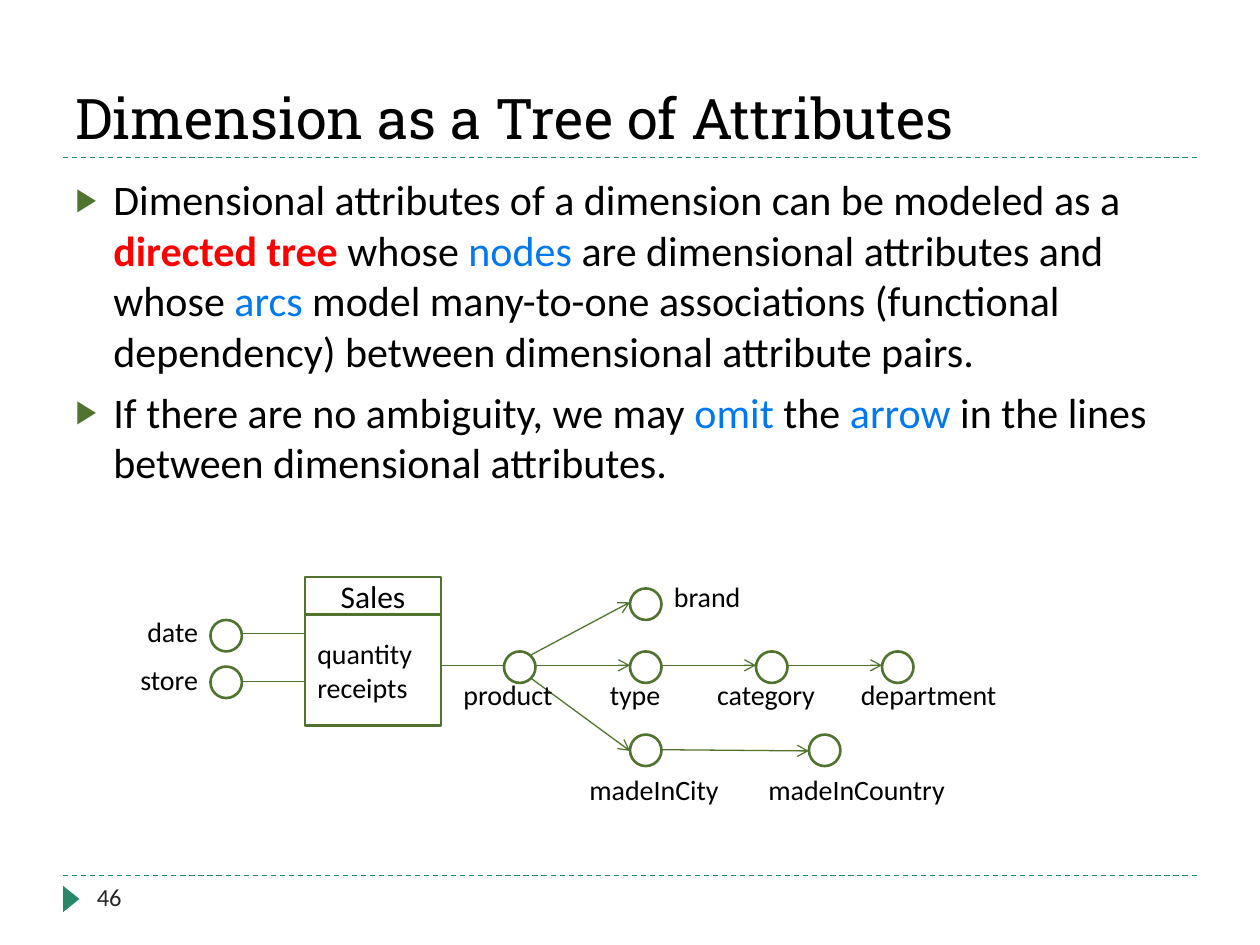
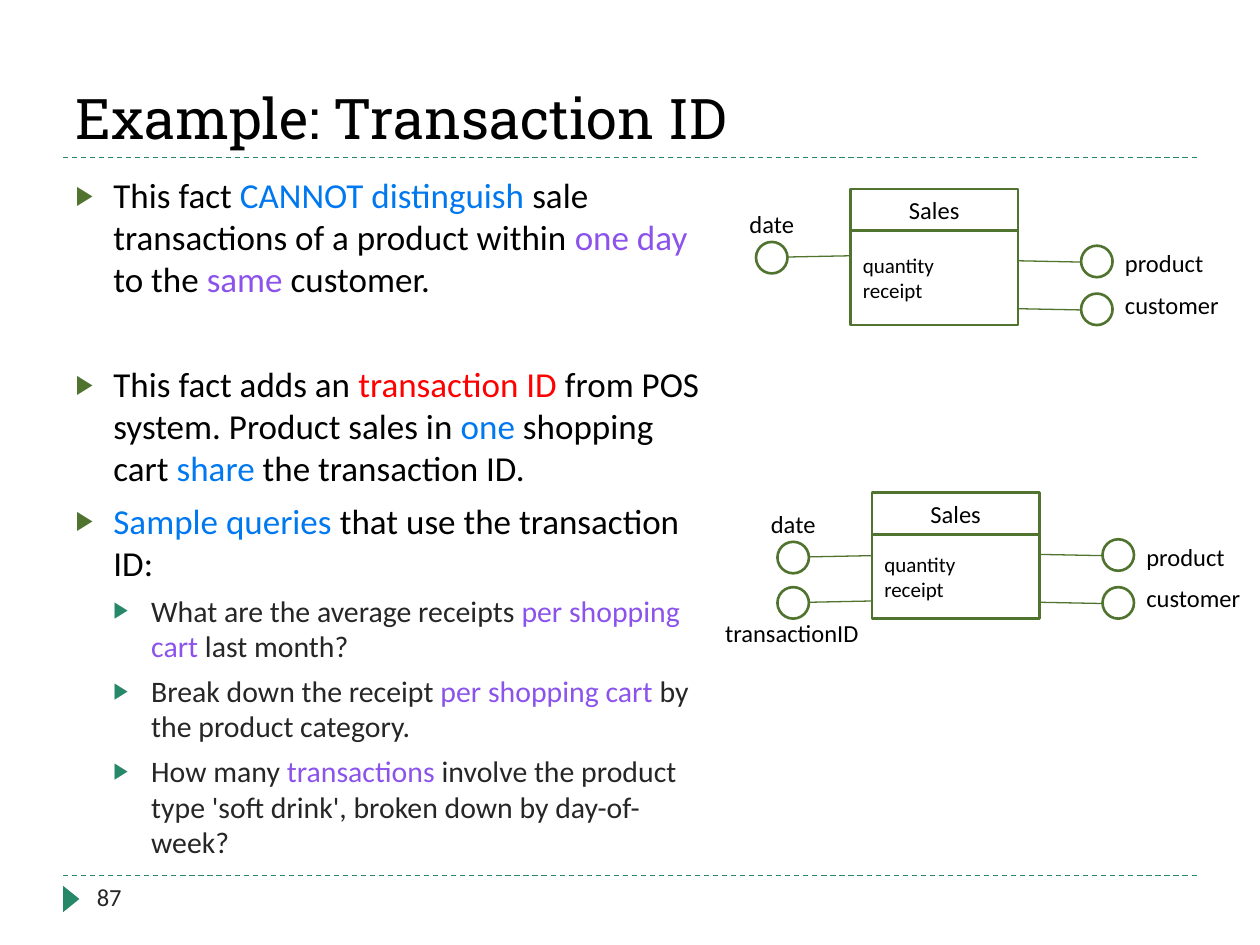
from dataclasses import dataclass
from typing import Any

from lxml import etree
from pptx import Presentation
from pptx.dml.color import RGBColor
from pptx.enum.dml import MSO_LINE
from pptx.enum.shapes import MSO_CONNECTOR, MSO_SHAPE
from pptx.enum.text import MSO_ANCHOR, MSO_AUTO_SIZE, PP_ALIGN
from pptx.oxml.ns import qn
from pptx.util import Inches, Pt

LEFT, MID, RIGHT = PP_ALIGN.LEFT, PP_ALIGN.CENTER, PP_ALIGN.RIGHT
BASE, CORE = MSO_ANCHOR.BOTTOM, MSO_ANCHOR.MIDDLE
FIXED = MSO_AUTO_SIZE.NONE
DASH = MSO_LINE.DASH
LINE = MSO_CONNECTOR.STRAIGHT
OVAL, RECT, WEDGE = MSO_SHAPE.OVAL, MSO_SHAPE.RECTANGLE, MSO_SHAPE.ISOSCELES_TRIANGLE

BLACK = RGBColor(0x00, 0x00, 0x00)
WHITE = RGBColor(0xFF, 0xFF, 0xFF)
GRAY = RGBColor(0x26, 0x26, 0x26)
GREEN = RGBColor(0x50, 0x74, 0x2F)
TEAL = RGBColor(0x26, 0x88, 0x68)
RED = RGBColor(0xFF, 0x00, 0x00)
BLUE = RGBColor(0x00, 0x78, 0xF0)
VIOLET = RGBColor(0x8B, 0x53, 0xEB)

SANS, SLAB = "Calibri", "Roboto Slab"
DOT = 0.25


@dataclass(frozen=True)
class Run:
    """A piece of text; without a colour it takes that of its level."""

    text: str
    color: RGBColor | None = None
    bold: bool = False


@dataclass(frozen=True)
class Item:
    """A bulleted paragraph."""

    runs: tuple[Run, ...]
    size: int
    level: int = 0
    gap: int = 6


@dataclass(frozen=True)
class Label:
    """A caption in the diagram."""

    text: str
    x: float
    y: float
    width: float
    align: Any = LEFT


@dataclass(frozen=True)
class Arc:
    """A line between two points."""

    x: float
    y: float
    end_x: float
    end_y: float
    arrow: bool = False


@dataclass(frozen=True)
class Fact:
    """A fact box with a heading and its measures."""

    x: float
    y: float
    width: float
    head: float
    tall: float
    words: tuple[str, ...]
    big: int
    small: int


@dataclass(frozen=True)
class Mart:
    """A small sales diagram, placed by its box and its rows of dots."""

    x: float
    y: float
    tall: float
    date: float
    right: float
    deal: float | None = None


def write(para: Any, run: Run, size: int, color: RGBColor = BLACK, face: str = SANS) -> None:
    """Add one run to a paragraph."""
    part = para.add_run()
    part.text = run.text
    font = part.font
    font.name, font.size, font.bold = face, Pt(size), run.bold
    font.color.rgb = run.color or color


def bullet(para: Any, item: Item) -> None:
    """Set the indent and the triangle bullet of a paragraph."""
    props = para._p.get_or_add_pPr()
    props.set("marL", str(Inches(0.3 * (item.level + 1))))
    props.set("indent", str(Inches(-0.3)))
    tint = etree.SubElement(props, qn("a:buClr"))
    etree.SubElement(tint, qn("a:srgbClr"), val=str(TEAL if item.level else GREEN))
    etree.SubElement(props, qn("a:buSzPct"), val="76000")
    etree.SubElement(props, qn("a:buFont"), typeface="Arial")
    etree.SubElement(props, qn("a:buChar"), char="▶")


def place(shape: Any, x: float, y: float, width: float, height: float) -> None:
    """Move and size a placeholder."""
    shape.left, shape.top = Inches(x), Inches(y)
    shape.width, shape.height = Inches(width), Inches(height)


def caption(slide: Any, label: Label, size: int, color: RGBColor = BLACK) -> None:
    """Add a text box with one line."""
    box = slide.shapes.add_textbox(
        Inches(label.x), Inches(label.y), Inches(label.width), Inches(0.37))
    box.text_frame.word_wrap = True
    para = box.text_frame.paragraphs[0]
    para.alignment = label.align
    write(para, Run(label.text), size, color)


def link(slide: Any, arc: Arc, color: RGBColor = GREEN) -> Any:
    """Draw a thin line, with an arrowhead if asked."""
    line = slide.shapes.add_connector(
        LINE, Inches(arc.x), Inches(arc.y), Inches(arc.end_x), Inches(arc.end_y))
    line.line.color.rgb = color
    line.line.width = Pt(0.75)
    etree.SubElement(line._element.spPr, qn("a:effectLst"))
    if arc.arrow:
        etree.SubElement(line.line._get_or_add_ln(), qn("a:tailEnd"), type="arrow")
    return line


def block(slide: Any, kind: Any, x: float, y: float, width: float, height: float) -> Any:
    """Draw a white shape with a green outline."""
    shape = slide.shapes.add_shape(kind, Inches(x), Inches(y), Inches(width), Inches(height))
    shape.shadow.inherit = False
    shape.fill.solid()
    shape.fill.fore_color.rgb = WHITE
    shape.line.color.rgb = GREEN
    shape.line.width = Pt(1.5)
    return shape


def dot(slide: Any, x: float, y: float) -> None:
    """Draw the circle of an attribute."""
    block(slide, OVAL, x, y, DOT, DOT)


def table(slide: Any, fact: Fact) -> None:
    """Draw a fact box."""
    parts = (
        (fact.y + fact.head, fact.tall, fact.words, fact.small, LEFT),
        (fact.y, fact.head, ("Sales",), fact.big, MID),
    )
    for y, height, words, size, align in parts:
        frame = block(slide, RECT, fact.x, y, fact.width, height).text_frame
        frame.word_wrap = True
        frame.vertical_anchor = CORE
        for i, word in enumerate(words):
            para = frame.add_paragraph() if i else frame.paragraphs[0]
            para.alignment = align
            write(para, Run(word), size)


def start(deck: Any, title: str, page: int, items: tuple[Item, ...],
          width: float, height: float) -> Any:
    """Add a slide with its title, list, rules and page number."""
    slide = deck.slides.add_slide(deck.slide_layouts[1])
    head, body = slide.placeholders
    place(head, 0.5, 0.17, 9, 1.08)
    head.text_frame.auto_size = FIXED
    head.text_frame.vertical_anchor = BASE
    para = head.text_frame.paragraphs[0]
    para.alignment = LEFT
    write(para, Run(title), 32, face=SLAB)

    place(body, 0.5, 1.33, width, height)
    frame = body.text_frame
    frame.auto_size = FIXED
    for i, item in enumerate(items):
        para = frame.add_paragraph() if i else frame.paragraphs[0]
        para.level = item.level
        para.space_before = Pt(item.gap if i else 0)
        bullet(para, item)
        for run in item.runs:
            write(para, run, item.size, GRAY if item.level else BLACK)

    for y in (6.95, 1.25):
        link(slide, Arc(0.5, y, 9.5, y), TEAL).line.dash_style = DASH
    mark = block(slide, WEDGE, 0.46, 7.07, 0.21, 0.13)
    mark.rotation = 90
    mark.fill.fore_color.rgb = TEAL
    mark.line.fill.background()
    caption(slide, Label(str(page), 0.67, 6.95, 2.17), 14, GRAY)
    return slide


def tree(deck: Any) -> None:
    """Build the slide on the tree of attributes."""
    items = (
        Item((Run("Dimensional attributes of a dimension can be modeled as a "),
              Run("directed tree ", RED, True), Run("whose "), Run("nodes", BLUE),
              Run(" are dimensional attributes and whose "), Run("arcs", BLUE),
              Run(" model many-to-one associations (functional dependency) "
                  "between dimensional attribute pairs.")), 24),
        Item((Run("If there are no ambiguity, we may "), Run("omit", BLUE), Run(" the "),
              Run("arrow", BLUE), Run(" in the lines between dimensional attributes.")), 24),
    )
    slide = start(deck, "Dimension as a Tree of Attributes", 46, items, 9, 2.75)
    table(slide, Fact(2.42, 4.58, 1.08, 0.3, 0.88, ("quantity", "receipts"), 18, 16))
    row = [(x, 5.17) for x in (4, 5, 6, 7)]
    for x, y in row + [(5, 4.67), (5, 5.83), (6.42, 5.83), (1.67, 4.92), (1.67, 5.29)]:
        dot(slide, x, y)
    arcs = [Arc(x + DOT, 5.28, x + 1, 5.28, True) for x, _ in row[:-1]]
    arcs += [Arc(1.92, y, 2.42, y) for y in (5.03, 5.41)]
    arcs += [
        Arc(3.5, 5.28, 4, 5.28),
        Arc(4.21, 5.2, 5, 4.78, True),
        Arc(4.21, 5.38, 5, 5.96, True),
        Arc(5.25, 5.95, 6.42, 5.96, True),
    ]
    for arc in arcs:
        link(slide, arc)
    labels = (
        Label("date", 0.75, 4.83, 0.92, RIGHT),
        Label("store", 0.75, 5.21, 0.92, RIGHT),
        Label("product", 3.58, 5.33, 0.92),
        Label("type", 4.58, 5.33, 0.92, MID),
        Label("category", 5.58, 5.33, 1, MID),
        Label("department", 6.58, 5.33, 1.58, MID),
        Label("brand", 5.25, 4.55, 0.92),
        Label("madeInCity", 4.58, 6.08, 1.33),
        Label("madeInCountry", 6, 6.08, 1.75),
    )
    for label in labels:
        caption(slide, label, 16)


def sales(slide: Any, mart: Mart) -> None:
    """Draw a sales fact with its dimensions."""
    x, edge = mart.x, mart.x + 1.33
    table(slide, Fact(x, mart.y, 1.33, 0.33, mart.tall, ("quantity", "receipt"), 14, 12))
    labels = [Label("date", x - 1, mart.date - 0.31, 0.75, MID)]
    lefts = [mart.date]
    if mart.deal is not None:
        lefts.append(mart.deal)
        labels.append(Label("transactionID", x - 1.3, mart.deal + 0.2, 1.33, MID))
    for y in lefts:
        dot(slide, x - 0.75, y)
        link(slide, Arc(x - 0.5, y + 0.12, x, y + 0.11))
    for i, name in enumerate(("product", "customer")):
        y = mart.right + 0.38 * i
        dot(slide, edge + 0.5, y)
        link(slide, Arc(edge, y + 0.12, edge + 0.5, y + 0.13))
        labels.append(Label(name, edge + 0.75, mart.right - 0.03 + 0.33 * i, 1))
    for label in labels:
        caption(slide, label, 14)


def deal(deck: Any) -> None:
    """Build the slide on the transaction ID."""
    items = (
        Item((Run("This fact "), Run("CANNOT distinguish", BLUE),
              Run(" sale transactions of a product within "), Run("one day ", VIOLET),
              Run("to the "), Run("same", VIOLET), Run(" customer.")), 20),
        Item((Run("This fact adds an "), Run("transaction ID ", RED),
              Run("from POS system. Product sales in "), Run("one", BLUE),
              Run(" shopping cart "), Run("share", BLUE),
              Run(" the transaction ID.")), 20, gap=36),
        Item((Run("Sample queries ", BLUE), Run("that use the transaction ID:")), 20),
        Item((Run("What are the average receipts "), Run("per shopping cart ", VIOLET),
              Run("last month?")), 17, 1, 5),
        Item((Run("Break down the receipt "), Run("per shopping cart ", VIOLET),
              Run("by the product category.")), 17, 1, 5),
        Item((Run("How many "), Run("transactions", VIOLET),
              Run(" involve the product type 'soft drink', broken down by day-of-week?")),
             17, 1, 5),
    )
    slide = start(deck, "Example: Transaction ID", 87, items, 5.25, 5.5)
    sales(slide, Mart(6.75, 1.5, 0.75, 1.92, 1.95))
    sales(slide, Mart(6.92, 3.91, 0.67, 4.3, 4.28, 4.66))


def main() -> None:
    """Build and save the slides."""
    deck = Presentation()
    deck.slide_width, deck.slide_height = Inches(10), Inches(7.5)
    tree(deck)
    deal(deck)
    deck.save("out.pptx")


if __name__ == "__main__":
    main()
